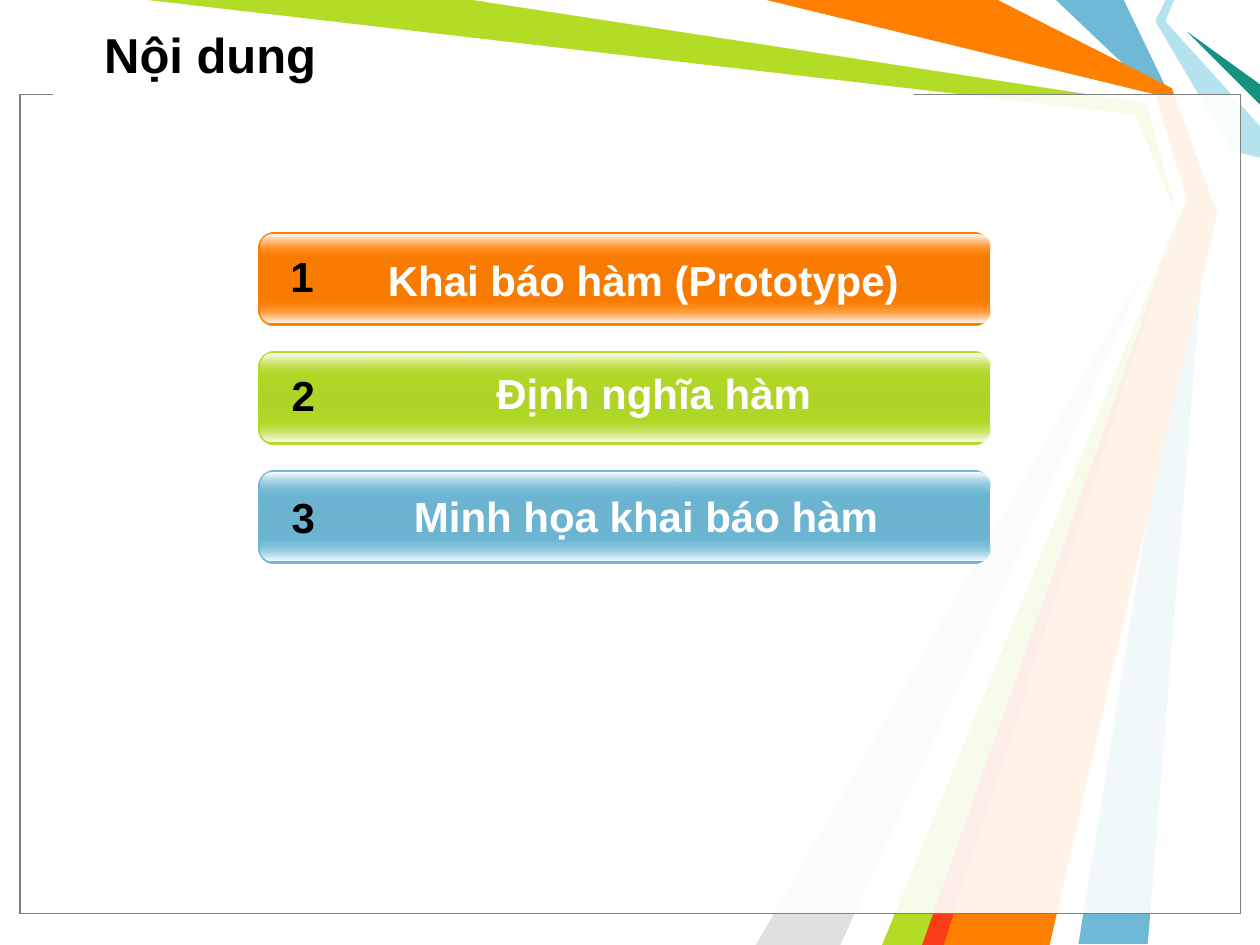
from lxml import etree
from pptx import Presentation
from pptx.dml.color import RGBColor
from pptx.enum.shapes import MSO_SHAPE as SHAPE
from pptx.enum.text import MSO_ANCHOR as ANCHOR, MSO_AUTO_SIZE as FIT, PP_ALIGN as ALIGN
from pptx.oxml import parse_xml
from pptx.oxml.ns import nsdecls, qn
from pptx.util import Pt

THEME = dict(
    font="Arial", title_size=28, label_size=24,
    black="000000", white="FFFFFF", grey="808080", silver="E0E0E0",
    orange="FF7F00", orange_mid="F67B00", green="B3DC27", green_mid="ADD426",
    blue="6FB9D7", blue_mid="6BB3CF", aqua="B4E3EE", teal="189180", red="F93D17",
)

# Content: all lengths in points
TITLE = ("Nội dung", (52.5, 5.8, 656, 49.7))
ITEMS = [  # colour, number, number left and top, label, label left, top and width
    ("orange", "1", (157.7, 139.7), "Khai báo hàm (Prototype)", (196.6, 141.8, 342)),
    ("green", "2", (158.4, 207.4), "Định nghĩa hàm", (196.6, 206.6, 354)),
    ("blue", "3", (158.4, 277.2), "Minh họa khai báo hàm", (192.2, 276.5, 354)),
]
RIBBONS = [
    ("blue", [(642.2, 0), (668.9, 55.4), (689.8, 120.2), (655.9, 539.3), (616.3, 539.3),
              (684, 120.2), (660.2, 54), (603.4, 0)]),
    ("green", [(84.2, 0), (275.8, 0), (658.1, 56.2), (678.2, 121.7), (534.2, 540),
               (498.2, 540), (673.2, 124.6), (648.7, 65.5)]),
    ("silver", [(480.2, 540), (667.4, 130.3), (432, 540)]),
    ("white", [(270, 0), (655.2, 59), (671, 116.6), (486, 540), (504, 540),
               (677.5, 113.8), (660.2, 54), (432, 0)]),
    ("aqua", [(666, 0), (660.2, 12.2), (704.2, 86.4), (720, 90), (720, 72),
              (666, 12.2), (671, 0)]),
    ("teal", [(720, 59.8), (678.2, 18), (720, 48.2)]),
    ("orange", [(437.8, 0), (570.2, 0), (669.6, 50.4), (695.5, 121.7), (599.8, 540),
                (527.8, 540), (678.2, 113.8), (660.2, 54)]),
    ("red", [(527, 540), (671, 131.8), (539.3, 540)]),
]
FRAME = (11.4, 54, 697.6, 468)
TITLE_GAP = (30.2, 53.3, 491.8, 12.2)
BAR_LEFT, BAR_TOP, BAR_W, BAR_H, BAR_STEP = 147.5, 132.5, 418.5, 54, 68
GLOSS_INSET, GLOSS_H, GLOSS_OFFSETS = 1.5, 13, (38.9, 1.6)
LABEL_H, NUMBER_W = 36, 30


def rgb(name):
    return RGBColor.from_string(THEME[name])


def solid(sp, fill, line=None, opacity=None):
    sp.shadow.inherit = False
    sp.fill.solid()
    sp.fill.fore_color.rgb = rgb(fill)
    if opacity is not None:
        color = sp._element.spPr.find(qn("a:solidFill"))[0]
        etree.SubElement(color, qn("a:alpha"), val=str(opacity * 1000))
    if line:
        sp.line.color.rgb = rgb(line)
        sp.line.width = Pt(0.75)
    else:
        sp.line.fill.background()


def gradient(sp, stops):
    """Fill from top to bottom; each stop is position, colour, opacity in percent."""
    solid(sp, "white")
    marks = "".join(
        f'<a:gs pos="{pos * 1000}"><a:srgbClr val="{THEME[name]}">'
        f'<a:alpha val="{opacity * 1000}"/></a:srgbClr></a:gs>'
        for pos, name, opacity in stops)
    grad = parse_xml(f'<a:gradFill {nsdecls("a")} rotWithShape="1"><a:gsLst>{marks}</a:gsLst>'
                     '<a:lin ang="5400000" scaled="1"/></a:gradFill>')
    sp_pr = sp._element.spPr
    sp_pr.replace(sp_pr.find(qn("a:solidFill")), grad)


def add_box(shapes, box, kind=SHAPE.RECTANGLE, radius=None):
    sp = shapes.add_shape(kind, *map(Pt, box))
    if radius is not None:
        sp.adjustments[0] = radius
    return sp


def add_ribbon(shapes, color, points):
    (x, y), *rest = [(px * 100, py * 100) for px, py in points]
    builder = shapes.build_freeform(x, y, scale=Pt(0.01))
    builder.add_line_segments(rest, close=True)
    solid(builder.convert_to_shape(), color)


def add_text(shapes, text, box, size="label_size", color="black", align=ALIGN.CENTER,
             anchor=ANCHOR.TOP, fit=FIT.SHAPE_TO_FIT_TEXT):
    tf = shapes.add_textbox(*map(Pt, box)).text_frame
    tf.word_wrap, tf.auto_size, tf.vertical_anchor = True, fit, anchor
    p = tf.paragraphs[0]
    p.alignment = align
    r = p.add_run()
    r.text = text
    r.font.name, r.font.size, r.font.bold = THEME["font"], Pt(THEME[size]), True
    r.font.color.rgb = rgb(color)


def add_bar(shapes, color, top):
    body = add_box(shapes, (BAR_LEFT, top, BAR_W, BAR_H), SHAPE.ROUNDED_RECTANGLE, 0.175)
    gradient(body, [(0, color, 100), (50, color + "_mid", 100), (100, color, 100)])
    glosses = ([(0, color, 0), (100, "white", 100)], [(0, "white", 100), (100, color, 0)])
    for offset, stops in zip(GLOSS_OFFSETS, glosses):
        box = (BAR_LEFT + GLOSS_INSET, top + offset, BAR_W - GLOSS_INSET, GLOSS_H)
        gradient(add_box(shapes, box, SHAPE.ROUNDED_RECTANGLE, 0.5), stops)


def main():
    prs = Presentation()
    prs.slide_width, prs.slide_height = Pt(720), Pt(540)
    shapes = prs.slides.add_slide(prs.slide_layouts[6]).shapes

    # Background ribbons
    for color, points in RIBBONS:
        add_ribbon(shapes, color, points)

    # Translucent frame, opened behind the title
    for line in ("black", "grey"):
        solid(add_box(shapes, FRAME), "white", line, opacity=69)
    solid(add_box(shapes, TITLE_GAP), "white")

    # Agenda bars with number and label
    for i, (color, number, number_at, label, (left, top, width)) in enumerate(ITEMS):
        add_bar(shapes, color, BAR_TOP + i * BAR_STEP)
        add_text(shapes, number, (*number_at, NUMBER_W, LABEL_H))
        add_text(shapes, label, (left, top, width, LABEL_H), color="white")

    # Title
    add_text(shapes, *TITLE, size="title_size", align=ALIGN.LEFT, anchor=ANCHOR.MIDDLE,
             fit=FIT.NONE)
    prs.save("out.pptx")


if __name__ == "__main__":
    main()
